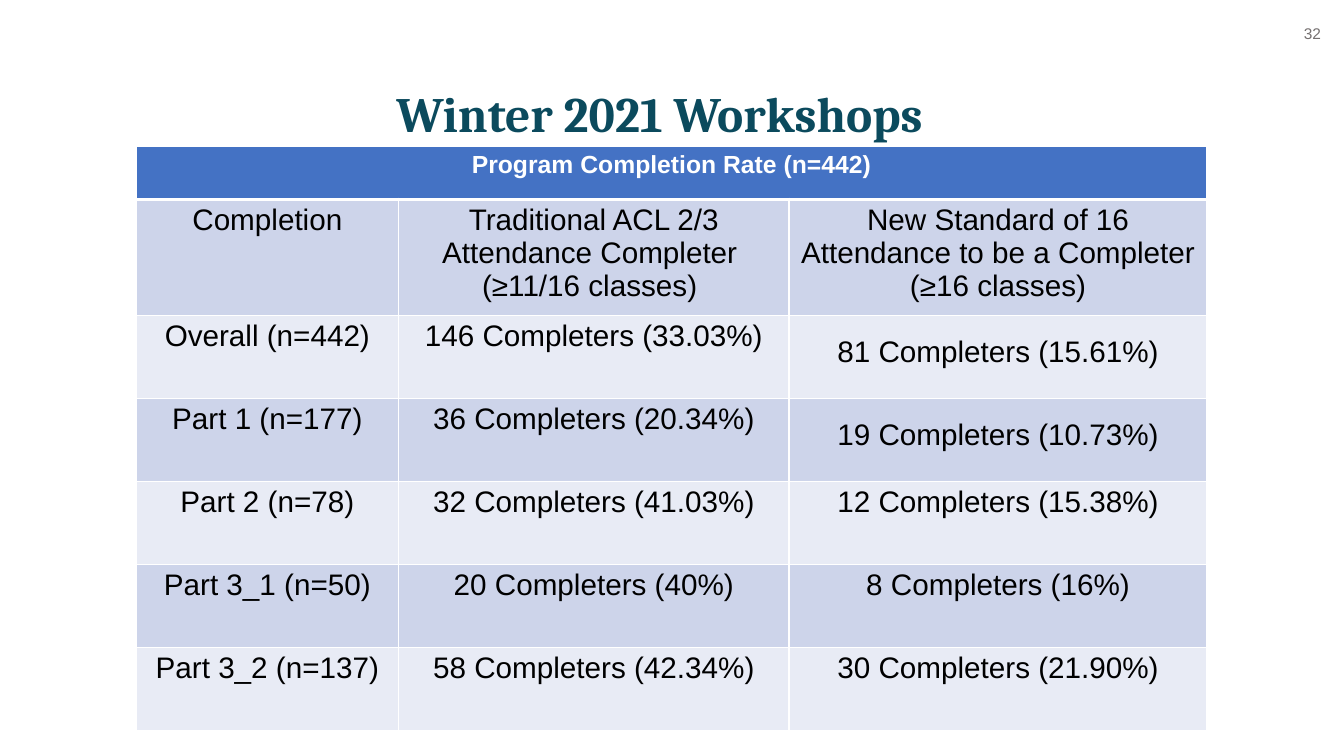
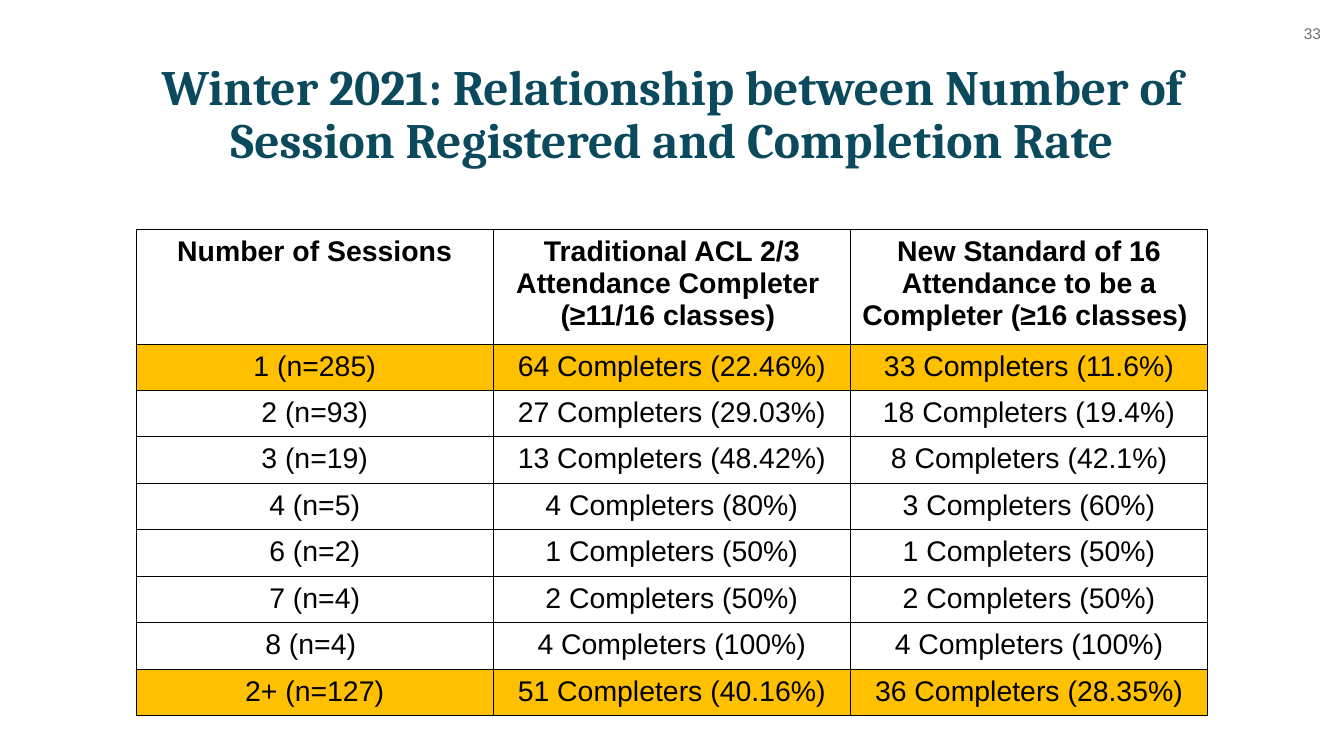
import pptx
import pptx.util
import pptx.dml.color
import pptx.enum.text
import pptx.oxml.ns
from lxml import etree

Pt = pptx.util.Pt
RGBColor = pptx.dml.color.RGBColor
ALIGN = pptx.enum.text.PP_ALIGN
ANCHOR = pptx.enum.text.MSO_ANCHOR

# Shared look
TEAL = RGBColor(0x0B, 0x4A, 0x5D)
GREY = RGBColor(0x75, 0x70, 0x70)
BLACK = RGBColor(0, 0, 0)
WHITE = RGBColor(0xFF, 0xFF, 0xFF)
BLUE = RGBColor(0x44, 0x72, 0xC4)
DARK_BAND = RGBColor(0xCD, 0xD4, 0xEA)
LIGHT_BAND = RGBColor(0xE8, 0xEB, 0xF5)
AMBER = RGBColor(0xFF, 0xC0, 0x00)
TABLE_LEFT = 110.2
TITLE_ONLY = 5

# Content
TRADITIONAL = "Traditional ACL 2/3 Attendance Completer \n(≥11/16 classes) "
NEW_STANDARD = "New Standard of 16 Attendance to be a Completer (≥16 classes)"
COMPLETION_ROWS = [
    ("Program Completion Rate (n=442)", "", ""),
    ("Completion", TRADITIONAL, NEW_STANDARD),
    ("Overall (n=442)", "146 Completers (33.03%)", "81 Completers (15.61%)"),
    ("Part 1 (n=177)", "36 Completers (20.34%)", "19 Completers (10.73%)"),
    ("Part 2 (n=78)", "32 Completers (41.03%)", "12 Completers (15.38%)"),
    ("Part 3_1 (n=50)", "20 Completers (40%)", "8 Completers (16%)"),
    ("Part 3_2 (n=137)", "58 Completers (42.34%)", "30 Completers (21.90%)"),
]
SESSION_ROWS = [
    ("Number of Sessions", TRADITIONAL, NEW_STANDARD + " "),
    ("1 (n=285)", "64 Completers (22.46%)", "33 Completers (11.6%)"),
    ("2 (n=93)", "27 Completers (29.03%)", "18 Completers (19.4%)"),
    ("3 (n=19)", "13 Completers (48.42%)", "8 Completers (42.1%)"),
    ("4 (n=5)", "4 Completers (80%)", "3 Completers (60%)"),
    ("6 (n=2)", "1 Completers (50%)", "1 Completers (50%)"),
    ("7 (n=4)", "2 Completers (50%)", "2 Completers (50%)"),
    ("8 (n=4) ", "4 Completers (100%)", "4 Completers (100%)"),
    ("2+ (n=127)", "51 Completers (40.16%)", "36 Completers (28.35%)"),
]


def write_text(frame, text, size, color, font="Arial", bold=False, spacing=1.0):
    """Fill a text frame, one centred paragraph per line of text."""
    for index, line in enumerate(text.split("\n")):
        paragraph = frame.add_paragraph() if index else frame.paragraphs[0]
        paragraph.alignment = ALIGN.CENTER
        paragraph.line_spacing = spacing
        run = paragraph.add_run()
        run.text = line
        run.font.name = font
        run.font.size = Pt(size)
        run.font.bold = bold
        run.font.color.rgb = color


def add_slide(presentation, title, title_left, number):
    """Add a slide with its title and page number."""
    slide = presentation.slides.add_slide(presentation.slide_layouts[TITLE_ONLY])
    shape = slide.shapes.title
    shape.left, shape.top = Pt(title_left), Pt(49)
    shape.width, shape.height = Pt(867.6), Pt(90)
    frame = shape.text_frame
    frame.word_wrap = True
    frame.auto_size = pptx.enum.text.MSO_AUTO_SIZE.NONE
    frame.vertical_anchor = ANCHOR.MIDDLE
    write_text(frame, title, 40, TEAL, font="Cambria", bold=True, spacing=0.9)

    page_box = slide.shapes.add_textbox(Pt(1044), Pt(19.4), Pt(36.7), Pt(22.3))
    frame = page_box.text_frame
    frame.word_wrap = True
    frame.margin_left = frame.margin_right = frame.margin_top = frame.margin_bottom = 0
    write_text(frame, str(number), 12.5, GREY)
    return slide


def set_borders(cell, color, top=1, bottom=1):
    """Draw the four sides of a cell; widths are in points."""
    properties = cell._tc.get_or_add_tcPr()
    for side, width in (("lnL", 1), ("lnR", 1), ("lnT", top), ("lnB", bottom)):
        line = etree.SubElement(properties, pptx.oxml.ns.qn("a:" + side), w=str(Pt(width)))
        fill = etree.SubElement(line, pptx.oxml.ns.qn("a:solidFill"))
        etree.SubElement(fill, pptx.oxml.ns.qn("a:srgbClr"), val=str(color))


def add_plain_table(slide, rows, top, widths, heights):
    """Add a table without the style's banding."""
    frame = slide.shapes.add_table(len(rows), len(widths), Pt(TABLE_LEFT), Pt(top),
                                   Pt(sum(widths)), Pt(sum(heights)))
    table = frame.table
    table.first_row = table.horz_banding = False
    for column, width in zip(table.columns, widths):
        column.width = Pt(width)
    for row, height in zip(table.rows, heights):
        row.height = Pt(height)
    return table


def set_margins(cell, horizontal, vertical):
    cell.margin_left = cell.margin_right = Pt(horizontal)
    cell.margin_top = cell.margin_bottom = Pt(vertical)


def fill_cell(cell, color):
    if color is None:
        cell.fill.background()
    else:
        cell.fill.solid()
        cell.fill.fore_color.rgb = color


def add_completion_table(slide):
    """Banded table under one merged heading."""
    table = add_plain_table(slide, COMPLETION_ROWS, 118.9, [212.4, 316.1, 338.4],
                            [42.5, 87.6] + [67.3] * 5)
    table.cell(0, 0).merge(table.cell(0, 2))
    for row_index, row in enumerate(COMPLETION_ROWS):
        heading = row_index == 0
        band = BLUE if heading else DARK_BAND if row_index % 2 else LIGHT_BAND
        for column_index, text in enumerate(row):
            cell = table.cell(row_index, column_index)
            set_margins(cell, 7.2, 3.6)
            set_borders(cell, WHITE, top=3 if row_index == 1 else 1,
                        bottom=3 if heading else 1)
            fill_cell(cell, band)
            if text:
                loose = column_index == 2 and row_index in (2, 3)
                write_text(cell.text_frame, text, 20 if heading else 24,
                           WHITE if heading else BLACK, bold=heading,
                           spacing=1.5 if loose else 1.0)


def add_session_table(slide):
    """Ruled table with the first and last data rows highlighted."""
    table = add_plain_table(slide, SESSION_ROWS, 185.8, [289.2] * 3,
                            [87.2] + [35.8] * 8)
    highlighted = (1, len(SESSION_ROWS) - 1)
    for row_index, row in enumerate(SESSION_ROWS):
        for column_index, text in enumerate(row):
            cell = table.cell(row_index, column_index)
            set_margins(cell, 5, 5)
            set_borders(cell, BLACK)
            fill_cell(cell, AMBER if row_index in highlighted else None)
            write_text(cell.text_frame, text, 23, BLACK, bold=row_index == 0)


def main():
    presentation = pptx.Presentation()
    presentation.slide_width, presentation.slide_height = Pt(1088), Pt(612)

    # Completion rate by part
    slide = add_slide(presentation, "Winter 2021 Workshops", 100, 32)
    add_completion_table(slide)

    # Completion rate by number of sessions
    slide = add_slide(presentation, "Winter 2021: Relationship between Number of "
                      "Session Registered and Completion Rate", TABLE_LEFT, 33)
    add_session_table(slide)

    presentation.save("out.pptx")


if __name__ == "__main__":
    main()
